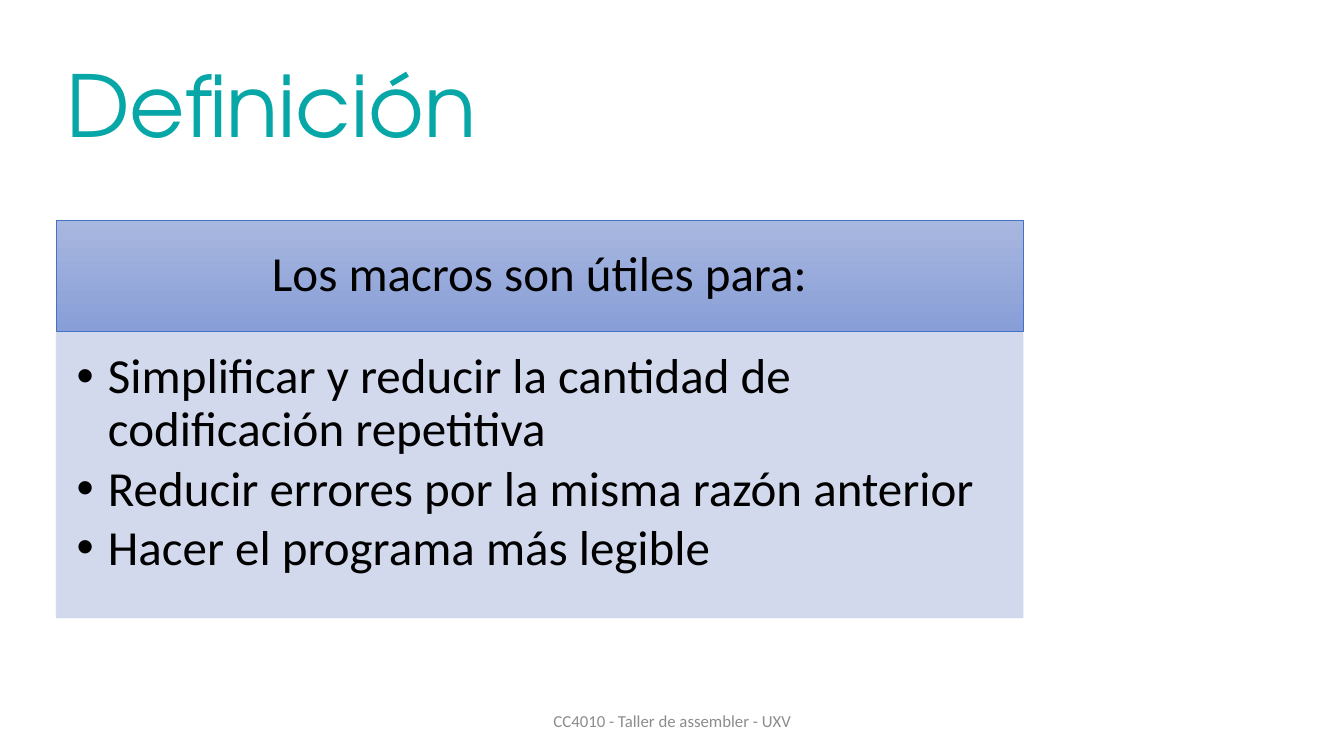
from dataclasses import dataclass

from lxml import etree
from pptx import Presentation
from pptx.dml.color import RGBColor
from pptx.enum.shapes import MSO_SHAPE
from pptx.enum.text import MSO_ANCHOR, MSO_AUTO_SIZE, PP_ALIGN
from pptx.oxml.ns import qn
from pptx.util import Cm, Pt

RECTANGLE = MSO_SHAPE.RECTANGLE
LEFT, CENTER = PP_ALIGN.LEFT, PP_ALIGN.CENTER
TOP, MIDDLE = MSO_ANCHOR.TOP, MSO_ANCHOR.MIDDLE
NO_AUTOFIT = MSO_AUTO_SIZE.NONE


@dataclass(frozen=True)
class Theme:
    title_font: str = "TeX Gyre Adventor"
    text_font: str = "Calibri"
    title_size: float = 61
    text_size: float = 35
    footer_size: float = 12
    teal: str = "07A6A7"
    black: str = "000000"
    gray: str = "8C8C8C"
    border: str = "4472C4"
    header_top: str = "A8B7DF"
    header_bottom: str = "889ED7"
    panel: str = "CFD5EA"


THEME = Theme()
LINE_WIDTH = Pt(0.5)
PANEL_OPACITY = "90000"
BULLET_INDENT = Cm(0.79)

HEADING = "Los macros son útiles para:"
USES = [
    "Simplificar y reducir la cantidad de codificación repetitiva",
    "Reducir errores por la misma razón anterior",
    "Hacer el programa más legible",
]


def rgb(value):
    return RGBColor.from_string(value)


def place(part, box):
    for side, length in zip(("left", "top", "width", "height"), box):
        setattr(part, side, Cm(length))


def write(part, lines, font, size, color, align=LEFT, anchor=MIDDLE,
          insets=(0.25, 0.13, 0.25, 0.13), paragraph_format=None):
    """Fill a text frame with one paragraph for each line."""
    frame = part.text_frame
    frame_format = dict(zip(
        ("margin_left", "margin_top", "margin_right", "margin_bottom"), map(Cm, insets)))
    frame_format.update(word_wrap=True, auto_size=NO_AUTOFIT, vertical_anchor=anchor)
    for name, value in frame_format.items():
        setattr(frame, name, value)
    frame.text = "\n".join(lines)
    for paragraph in frame.paragraphs:
        for name, value in {"alignment": align, **(paragraph_format or {})}.items():
            setattr(paragraph, name, value)
        for run in paragraph.runs:
            run.font.name = font
            run.font.size = Pt(size)
            run.font.color.rgb = rgb(color)


def add_title(slide, box):
    title = slide.shapes.title
    place(title, box)
    write(title, ["Definición"], THEME.title_font, THEME.title_size, THEME.teal,
          paragraph_format={"line_spacing": 0.9})


def add_heading(slide, box):
    heading = slide.shapes.add_shape(RECTANGLE, *map(Cm, box))
    heading.shadow.inherit = False
    heading.fill.gradient()
    heading.fill.gradient_angle = 270
    for stop, color in zip(heading.fill.gradient_stops,
                           (THEME.header_top, THEME.header_bottom)):
        stop.color.rgb = rgb(color)
    heading.line.color.rgb = rgb(THEME.border)
    heading.line.width = LINE_WIDTH
    write(heading, [HEADING], THEME.text_font, THEME.text_size, THEME.black,
          align=CENTER, insets=(0.69, 0.41, 0.69, 0.41),
          paragraph_format={"line_spacing": 0.9})


def add_uses(slide, box):
    uses = slide.placeholders[1]
    place(uses, box)
    uses.fill.solid()
    uses.fill.fore_color.rgb = rgb(THEME.panel)
    uses.line.color.rgb = rgb(THEME.panel)
    uses.line.width = LINE_WIDTH
    write(uses, USES, THEME.text_font, THEME.text_size, THEME.black,
          anchor=TOP, insets=(0.51, 0.51, 0.69, 0.79),
          paragraph_format={"level": 1, "line_spacing": 0.9,
                            "space_before": Pt(0), "space_after": Pt(4.5)})
    # Transparency of fill and outline
    for color in uses.fill._xPr.iter(qn("a:srgbClr")):
        etree.SubElement(color, qn("a:alpha"), val=PANEL_OPACITY)
    # Bullets with a hanging indent
    for paragraph in uses.text_frame.paragraphs:
        properties = paragraph._p.get_or_add_pPr()
        properties.set("marL", str(BULLET_INDENT))
        properties.set("indent", str(-BULLET_INDENT))
        etree.SubElement(properties, qn("a:buChar"), char="•")


def add_definition(slide, box, heading_height=2.79):
    left, top, width, height = box
    add_heading(slide, (left, top, width, heading_height))
    add_uses(slide, (left, top + heading_height, width, height - heading_height))


def add_footer(slide, box):
    footer = slide.shapes.add_textbox(*map(Cm, box))
    write(footer, ["CC4010 - Taller de assembler - UXV"],
          THEME.text_font, THEME.footer_size, THEME.gray, align=CENTER)


def main():
    deck = Presentation()
    deck.slide_width, deck.slide_height = Cm(33.87), Cm(19.05)
    slide = deck.slides.add_slide(deck.slide_layouts[1])
    add_title(slide, (1.42, 0.94, 25.5, 3.68))
    add_definition(slide, (1.42, 5.56, 24.36, 10.01))
    add_footer(slide, (11.23, 17.65, 11.43, 1.02))
    deck.save("out.pptx")


if __name__ == "__main__":
    main()
